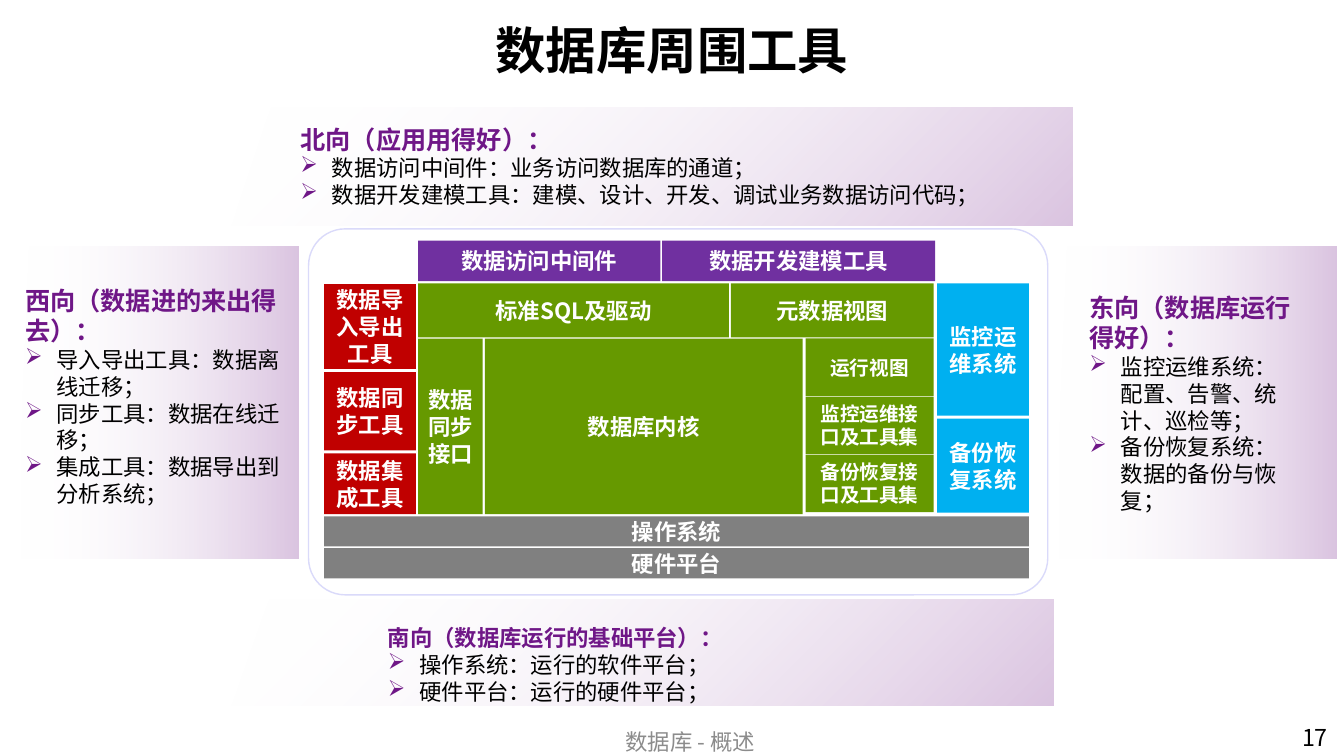
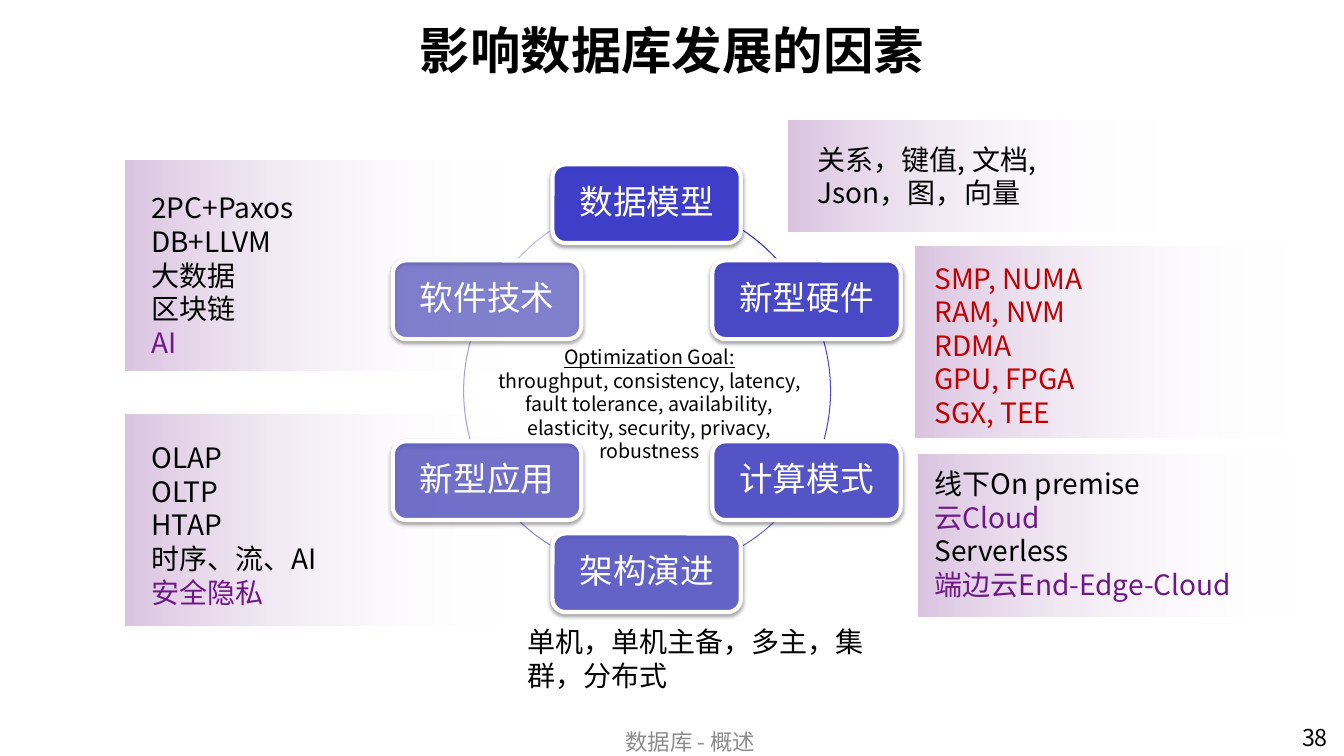
from dataclasses import dataclass

from lxml.etree import SubElement
from pptx import Presentation
from pptx.dml.color import RGBColor
from pptx.enum.shapes import MSO_SHAPE
from pptx.enum.text import MSO_ANCHOR, PP_ALIGN
from pptx.oxml import parse_xml
from pptx.oxml.ns import nsdecls, qn
from pptx.util import Pt


@dataclass(frozen=True)
class Theme:
    font: str = "Noto Sans CJK SC"
    bullet_font: str = "Wingdings"
    black: str = "000000"
    white: str = "FFFFFF"
    accent: str = "6F1787"
    frame: str = "DADAFA"
    footer: str = "8C8C8C"
    purple: str = "7030A0"
    green: str = "669900"
    gray: str = "808080"
    red: str = "C00000"
    cyan: str = "00B0F0"
    node: str = "3333CC"
    title_size: float = 36
    node_size: float = 24
    list_size: float = 20
    heading_size: float = 18
    number_size: float = 16.6
    body_size: float = 16
    small_size: float = 14


THEME = Theme()
MIDDLE = {"align": PP_ALIGN.CENTER, "anchor": MSO_ANCHOR.MIDDLE}


# Text
def style(para, size, color, bold=False, underline=False):
    font = para.font
    font.size, font.name = Pt(size), THEME.font
    font.bold, font.underline = bold, underline
    font.color.rgb = RGBColor.from_string(color)
    properties = para._p.pPr.find(qn("a:defRPr"))
    SubElement(properties, qn("a:ea")).set("typeface", THEME.font)


def add_bullet(para):
    properties = para._p.get_or_add_pPr()
    properties.set("marL", str(Pt(22.5)))
    properties.set("indent", str(-Pt(22.5)))
    color = SubElement(properties, qn("a:buClr"))
    SubElement(color, qn("a:srgbClr")).set("val", THEME.accent)
    font = SubElement(properties, qn("a:buFont"))
    font.set("typeface", THEME.bullet_font)
    font.set("charset", "2")
    # In the symbol font this letter is an arrowhead
    SubElement(properties, qn("a:buChar")).set("char", "Ø")


def write(shape, lines, align=PP_ALIGN.LEFT, anchor=MSO_ANCHOR.TOP):
    """Each line is (text, size, color) and optional flags for style or bullet."""
    frame = shape.text_frame
    frame.word_wrap, frame.vertical_anchor = True, anchor
    for index, (text, size, color, *flags) in enumerate(lines):
        para = frame.add_paragraph() if index else frame.paragraphs[0]
        para.text, para.alignment = text, align
        if "bullet" in flags:
            add_bullet(para)
        style(para, size, color, "bold" in flags, "underline" in flags)
    return frame


def add_text(page, area, lines, **layout):
    box = page.shapes.add_textbox(*map(Pt, area))
    return write(box, lines, **layout)


# Shapes
def add_shape(page, kind, area, fill=None, line=None, line_width=1):
    shape = page.shapes.add_shape(kind, *map(Pt, area))
    shape.shadow.inherit = False
    if fill:
        shape.fill.solid()
        shape.fill.fore_color.rgb = RGBColor.from_string(fill)
    else:
        shape.fill.background()
    if line:
        shape.line.color.rgb = RGBColor.from_string(line)
        shape.line.width = Pt(line_width)
    else:
        shape.line.fill.background()
    return shape


def fade(shape, angle):
    """Fill from clear white to pale purple, along a clockwise angle."""
    shape.fill.background()
    properties = shape.element.spPr
    gradient = parse_xml(
        f'<a:gradFill {nsdecls("a")} rotWithShape="1"><a:gsLst>'
        f'<a:gs pos="0"><a:srgbClr val="{THEME.white}"><a:alpha val="0"/></a:srgbClr></a:gs>'
        f'<a:gs pos="100000"><a:srgbClr val="{THEME.accent}"><a:alpha val="26000"/></a:srgbClr></a:gs>'
        f'</a:gsLst><a:lin ang="{angle * 60000}" scaled="0"/></a:gradFill>')
    properties.replace(properties.find(qn("a:noFill")), gradient)


def add_slanted_panel(page, area, slant, angle):
    left, top, width, height = area
    right, bottom = left + width, top + height
    builder = page.shapes.build_freeform(Pt(right), Pt(bottom))
    corners = [(left, bottom), (left + slant, top), (right, top)]
    builder.add_line_segments([(Pt(x), Pt(y)) for x, y in corners])
    panel = builder.convert_to_shape()
    panel.shadow.inherit = False
    panel.line.fill.background()
    fade(panel, angle)


def add_block(page, text, color, area, size=THEME.body_size):
    block = add_shape(page, MSO_SHAPE.RECTANGLE, area, color)
    frame = write(block, [(text, size, THEME.white, "bold")], **MIDDLE)
    frame.margin_left = frame.margin_right = Pt(6)
    frame.margin_top = frame.margin_bottom = 0


def add_node(page, text, left, top, opacity):
    node = add_shape(page, MSO_SHAPE.ROUNDED_RECTANGLE, (left, top, 134.6, 56.2),
                     THEME.node, THEME.white, 3)
    properties = node.element.spPr
    color = properties.find(qn("a:solidFill")).find(qn("a:srgbClr"))
    SubElement(color, qn("a:alpha")).set("val", str(opacity * 1000))
    properties.find(qn("a:effectLst")).append(parse_xml(
        f'<a:outerShdw {nsdecls("a")} blurRad="{Pt(3.1)}" dist="{Pt(1.6)}" dir="5400000" '
        f'rotWithShape="0"><a:srgbClr val="{THEME.black}"><a:alpha val="38000"/>'
        '</a:srgbClr></a:outerShdw>'))
    # A separate label keeps the letters free of the shadow
    frame = add_text(page, (left + 2.8, top + 2.8, 129, 50.6),
                     [(text, THEME.node_size, THEME.white)], **MIDDLE)
    frame.margin_top = frame.margin_bottom = Pt(7.2)
    frame.paragraphs[0].line_spacing = 0.9


def add_arc(page, left, top, start, end, color):
    """Draw part of a circle; angles run clockwise from the right."""
    arc = add_shape(page, MSO_SHAPE.ARC, (left, top, 263.5, 263.5), line=color, line_width=0.75)
    for index, angle in enumerate((start, end)):
        arc.adjustments[index] = angle * 0.6


# Shared page parts
def add_page(deck, title, number):
    page = deck.slides.add_slide(deck.slide_layouts[6])
    add_text(page, (82.5, 8.5, 795, 53),
             [(title, THEME.title_size, THEME.black, "bold")], **MIDDLE)
    add_text(page, (344, 519, 298, 21),
             [("数据库 - 概述", THEME.body_size, THEME.footer)], **MIDDLE)
    add_text(page, (923, 513.2, 48, 37), [(number, THEME.number_size, THEME.black)])
    return page


def add_direction(page, area, heading, items, size=THEME.heading_size):
    lines = [(heading, size, THEME.accent, "bold")]
    lines += [(item, THEME.body_size, THEME.black, "bullet") for item in items]
    add_text(page, area, lines)


def build_tools(deck):
    page = add_page(deck, "数据库周围工具", "17")
    frame = add_shape(page, MSO_SHAPE.ROUNDED_RECTANGLE, (220.4, 163.5, 528, 261.4),
                      THEME.white, THEME.frame)
    frame.adjustments[0] = 0.1

    # Panels on the four sides
    for area, slant, angle in [
        ((165.5, 428.5, 587, 75.5), 27, 45),
        ((10.8, 176.2, 202.5, 222.5), 9.5, 0),
        ((752.2, 176.2, 202.5, 222.5), 9.5, 0),
        ((165.5, 77, 600.5, 84.2), 28, 45),
    ]:
        add_slanted_panel(page, area, slant, angle)

    # Database stack
    for text, color, area in [
        ("数据访问中间件", THEME.purple, (298.7, 171.8, 173, 29)),
        ("数据开发建模工具", THEME.purple, (473, 171.8, 195, 29)),
        ("标准SQL及驱动", THEME.green, (298.7, 202.4, 222, 38.6)),
        ("元数据视图", THEME.green, (522, 202.4, 145, 38.6)),
        ("数据同步接口", THEME.green, (298.7, 241.8, 46, 125.5)),
        ("数据库内核", THEME.green, (346.4, 241.8, 227, 125.5)),
        ("数据导入导出工具", THEME.red, (231.6, 203, 65.5, 60.5)),
        ("数据同步工具", THEME.red, (231.6, 265.8, 65.5, 56)),
        ("数据集成工具", THEME.red, (231.6, 323.8, 65.5, 43.4)),
        ("监控运维系统", THEME.cyan, (669.4, 202.5, 65.5, 94.5)),
        ("备份恢复系统", THEME.cyan, (669.4, 299, 65.5, 67.2)),
        ("操作系统", THEME.gray, (231.6, 368.8, 503.3, 21.6)),
        ("硬件平台", THEME.gray, (231.6, 391.6, 503.3, 21.6)),
    ]:
        add_block(page, text, color, area)
    for row, text in enumerate(["运行视图", "监控运维接口及工具集", "备份恢复接口及工具集"]):
        add_block(page, text, THEME.green, (575.4, 241.8 + row * 41.5, 91.5, 41),
                  THEME.small_size)

    # Explanations
    add_direction(page, (10.8, 200.4, 206.5, 167), "西向（数据进的来出得去）：", [
        "导入导出工具：数据离线迁移；", "同步工具：数据在线迁移；",
        "集成工具：数据导出到分析系统；"])
    add_direction(page, (207.5, 85, 579.5, 68), "北向（应用用得好）：", [
        "数据访问中间件：业务访问数据库的通道；",
        "数据开发建模工具：建模、设计、开发、调试业务数据访问代码；"])
    add_direction(page, (771, 205.4, 159, 167), "东向（数据库运行得好）：", [
        "监控运维系统：配置、告警、统计、巡检等；", "备份恢复系统：数据的备份与恢复；"])
    add_direction(page, (270, 442.2, 496, 73), "南向（数据库运行的基础平台）：", [
        "操作系统：运行的软件平台；", "硬件平台：运行的硬件平台；"], THEME.body_size)


def build_factors(deck):
    page = add_page(deck, "影响数据库发展的因素", "38")

    # Panels behind the lists
    for left, top, height in [(90, 114.5, 150.5), (90, 296.4, 150.5), (563, 86.2, 79.2),
                              (654.2, 176.2, 136), (656, 324.5, 116.2)]:
        fade(add_shape(page, MSO_SHAPE.RECTANGLE, (left, top, 270.5, height)), 180)

    # Ring of factors
    for left, top, start, end, color in [
        (326, 142.5, 303, 317.5, "3131C3"), (329.8, 147.5, 344, 15.5, "4A4ACE"),
        (330.5, 145.5, 45.5, 59.5, "6868D3"), (330.5, 145.5, 120.5, 134.5, "8686D9"),
        (331.2, 147.5, 164.5, 196, "A3A3E0"), (335, 142.5, 222.5, 237, "BFBFE7"),
    ]:
        add_arc(page, left, top, start, end, color)
    factors = [
        ("数据模型", 394.6, 117.4), ("新型硬件", 508.8, 186), ("计算模式", 508.8, 315.2),
        ("架构演进", 394.6, 381), ("新型应用", 280.6, 315.2), ("软件技术", 280.6, 186),
    ]
    for index, (text, left, top) in enumerate(factors):
        add_node(page, text, left, top, 90 - 8 * index)

    # Lists beside the ring
    black, accent, red = THEME.black, THEME.accent, THEME.red
    for area, entries in [
        ((660.4, 183, 149, 128), [("SMP, NUMA", red), ("RAM, NVM", red), ("RDMA", red),
                                  ("GPU, FPGA", red), ("SGX, TEE", red)]),
        ((660.4, 329.8, 298, 104), [("线下On premise", black), ("云Cloud", accent),
                                    ("Serverless", black), ("端边云End-Edge-Cloud", accent)]),
        ((369.5, 442.8, 257, 55.5), [("单机，单机主备，多主，集群，分布式", black)]),
        ((577, 98, 232.5, 80), [("关系，键值, 文档, Json，图，向量", black)]),
        ((101, 132.8, 255, 128), [("2PC+Paxos", black), ("DB+LLVM", black), ("大数据", black),
                                  ("区块链", black), ("AI", accent)]),
        ((101, 311.2, 255, 128), [("OLAP", black), ("OLTP", black), ("HTAP", black),
                                  ("时序、流、AI", black), ("安全隐私", accent)]),
    ]:
        add_text(page, area, [(text, THEME.list_size, color) for text, color in entries])

    # Goal in the middle of the ring
    add_text(page, (336.5, 243, 255, 75), [
        ("Optimization Goal:", THEME.small_size, black, "underline"),
        ("throughput, consistency, latency, fault tolerance, availability, "
         "elasticity, security, privacy, robustness", THEME.small_size, black),
    ], align=PP_ALIGN.CENTER)


def main():
    deck = Presentation()
    deck.slide_width, deck.slide_height = Pt(960), Pt(540)
    build_tools(deck)
    build_factors(deck)
    deck.save("out.pptx")


if __name__ == "__main__":
    main()
